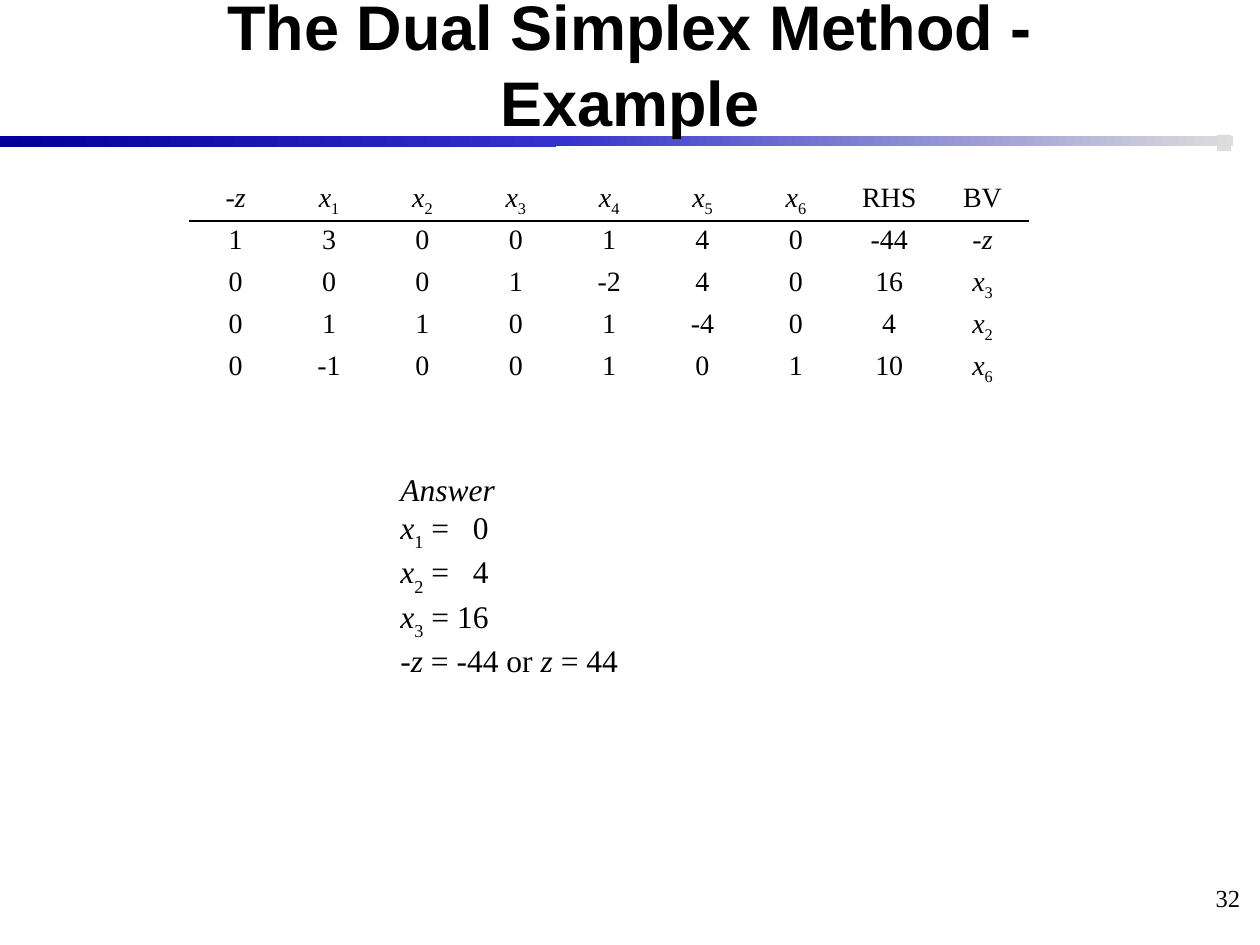
import pptx
import pptx.dml.color
import pptx.enum.shapes
import pptx.enum.text
import pptx.oxml
import pptx.oxml.ns
import pptx.util

Inches = pptx.util.Inches
RGB = pptx.dml.color.RGBColor
Align = pptx.enum.text.PP_ALIGN
Anchor = pptx.enum.text.MSO_ANCHOR
BLACK = RGB(0x00, 0x00, 0x00)
NAVY = RGB(0x00, 0x00, 0x99)
BLUE = RGB(0x33, 0x33, 0xCC)
GREY = RGB(0xDD, 0xDD, 0xDD)
SERIF = "Times New Roman"
NS = pptx.oxml.ns.nsdecls("a")


def write(para, marked, size, align, name=SERIF, bold=False, drop=-30):
    """Add runs split at '|': a leading '/' means italic, '_' means subscript."""
    para.alignment = align
    for part in marked.split("|"):
        run = para.add_run()
        run.text = part.lstrip("/_")
        style = {"size": pptx.util.Pt(size), "name": name, "bold": bold,
                 "italic": part.startswith("/")}
        for key, value in style.items():
            setattr(run.font, key, value)
        run.font.color.rgb = BLACK
        if part.startswith("_"):
            run.font._element.set("baseline", str(drop * 1000))


def add_box(left, top, width, height, anchor=Anchor.TOP):
    frame = slide.shapes.add_textbox(
        Inches(left), Inches(top), Inches(width), Inches(height)).text_frame
    frame.word_wrap = True
    frame.vertical_anchor = anchor
    return frame


deck = pptx.Presentation()
deck.slide_width, deck.slide_height = Inches(10), Inches(7.5)
slide = deck.slides.add_slide(deck.slide_layouts[5])

# Header bar
bars = [(9.66, 1.07, 0.11, 0.13, GREY, GREY),
        (0, 1.08, 4.41, 0.09, NAVY, BLUE),
        (4.41, 1.08, 5.38, 0.08, BLUE, GREY)]
for left, top, width, height, start, end in bars:
    bar = slide.shapes.add_shape(
        pptx.enum.shapes.MSO_SHAPE.RECTANGLE,
        Inches(left), Inches(top), Inches(width), Inches(height))
    bar.shadow.inherit = False
    bar.line.fill.background()
    if start == end:
        bar.fill.solid()
        bar.fill.fore_color.rgb = start
        continue
    bar.fill.gradient()
    bar.fill.gradient_angle = 0
    for stop, color in zip(bar.fill.gradient_stops, (start, end)):
        stop.color.rgb = color

# Title, brought in front of the bar
title = slide.shapes.title
place = {"left": 0.75, "top": -0.12, "width": 8.5, "height": 1.25}
for key, value in place.items():
    setattr(title, key, Inches(value))
frame = title.text_frame
frame.word_wrap = True
frame.auto_size = pptx.enum.text.MSO_AUTO_SIZE.NONE
frame.vertical_anchor = Anchor.MIDDLE
write(frame.paragraphs[0], "The Dual Simplex Method - Example", 36,
      Align.CENTER, "Arial", bold=True)
slide.shapes._spTree.append(title._element)

write(add_box(7.86, 6.96, 2.08, 0.5).paragraphs[0], "32", 14, Align.RIGHT)

# Simplex tableau
rows = [["-|/z", *(f"/x|_{n}" for n in range(1, 7)), "RHS", "BV"],
        [*"1300140", "-44", "-|/z"],
        [*"0001", "-2", *"40", "16", "/x|_3"],
        [*"01101", "-4", *"04", "/x|_2"],
        ["0", "-1", *"00101", "10", "/x|_6"]]
table = slide.shapes.add_table(
    len(rows), len(rows[0]), Inches(1.5), Inches(1.42),
    Inches(6.67), Inches(1.67)).table
table.first_row = table.horz_banding = False
style = table._tbl.tblPr.find(pptx.oxml.ns.qn("a:tableStyleId"))
style.text = "{2D5ABB26-0587-4C30-8999-92F81FD0307C}"
inset = {"margin_left": 0.07, "margin_right": 0.07, "margin_top": 0, "margin_bottom": 0}
for r, row in enumerate(rows):
    for c, marked in enumerate(row):
        cell = table.cell(r, c)
        for key, value in inset.items():
            setattr(cell, key, Inches(value))
        cell.fill.background()
        para = cell.text_frame.paragraphs[0]
        para.line_spacing = 1.1
        write(para, marked, 16, Align.CENTER, drop=-25)
        if r == 0:  # the rule under the header row
            cell._tc.get_or_add_tcPr().insert(0, pptx.oxml.parse_xml(
                f'<a:lnB {NS} w="12700"><a:solidFill>'
                f'<a:srgbClr val="{BLACK}"/></a:solidFill></a:lnB>'))

# Answer, with the values lined up at a right tab
lines = ["/Answer", "/x|_1| =\t0", "/x|_2| =\t4", "/x|_3| =\t16",
         "-|/z| = -44 or |/z| = 44"]
frame = add_box(3.08, 3.75, 2.5, 1.62, Anchor.MIDDLE)
for n, marked in enumerate(lines):
    para = frame.add_paragraph() if n else frame.paragraphs[0]
    if "\t" in marked:
        para._p.get_or_add_pPr().append(pptx.oxml.parse_xml(
            f'<a:tabLst {NS}><a:tab pos="{Inches(0.7)}" algn="r"/></a:tabLst>'))
    write(para, marked, 18, Align.JUSTIFY)

deck.save("out.pptx")
